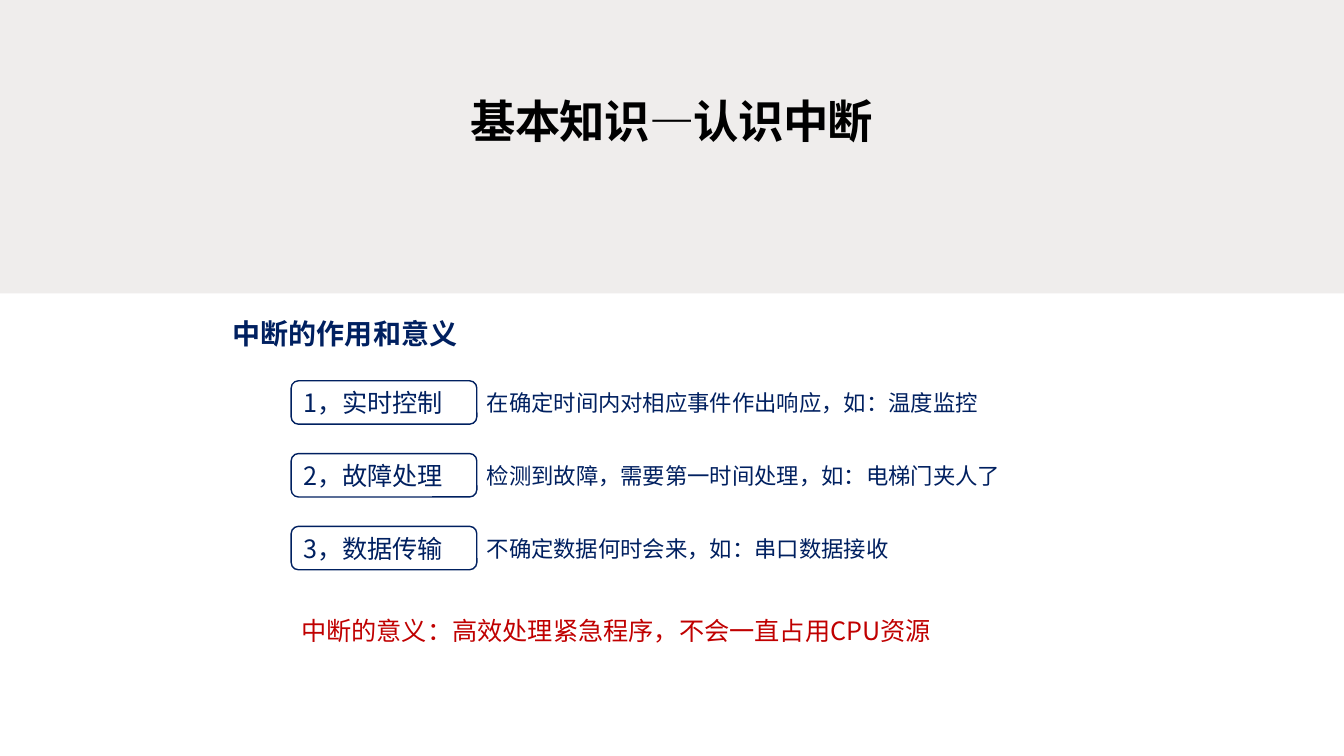
from dataclasses import dataclass

from lxml import etree
from pptx import Presentation
from pptx.dml.color import RGBColor
from pptx.enum.shapes import MSO_SHAPE
from pptx.enum.text import MSO_ANCHOR, PP_ALIGN
from pptx.oxml.ns import qn
from pptx.shapes.autoshape import Shape
from pptx.slide import Slide
from pptx.util import Pt

RECT, ROUND = MSO_SHAPE.RECTANGLE, MSO_SHAPE.ROUNDED_RECTANGLE
TOP, MIDDLE = MSO_ANCHOR.TOP, MSO_ANCHOR.MIDDLE
LEFT, CENTER = PP_ALIGN.LEFT, PP_ALIGN.CENTER


@dataclass(frozen=True)
class Theme:
    font: str = "Noto Sans CJK SC"
    band: str = "EFEDEC"
    paper: str = "FFFFFF"
    ink: str = "000000"
    navy: str = "002060"
    red: str = "C00000"
    title: float = 32.4
    head: float = 20
    label: float = 18
    note: float = 16


@dataclass(frozen=True)
class Box:
    left: float
    top: float
    width: float
    height: float

    def points(self) -> tuple[Pt, Pt, Pt, Pt]:
        return Pt(self.left), Pt(self.top), Pt(self.width), Pt(self.height)


@dataclass(frozen=True)
class Use:
    label: str
    note: str
    width: float


THEME = Theme()
USES = [
    Use("1，实时控制", "在确定时间内对相应事件作出响应，如：温度监控", 370),
    Use("2，故障处理", "检测到故障，需要第一时间处理，如：电梯门夹人了", 386),
    Use("3，数据传输", "不确定数据何时会来，如：串口数据接收", 305),
]
INDENT, FIRST, STEP = 208, 272, 52
LABEL_WIDTH, LABEL_HEIGHT = 132.6, 31


def write(shape: Shape, text: str, size: float, color: str,
          bold: bool = False, align: PP_ALIGN = LEFT,
          anchor: MSO_ANCHOR = TOP, wrap: bool = True) -> None:
    frame = shape.text_frame
    frame.text = text
    frame.word_wrap = wrap
    frame.vertical_anchor = anchor
    line = frame.paragraphs[0]
    line.alignment = align
    font = line.runs[0].font
    font.name, font.size, font.bold = THEME.font, Pt(size), bold
    font.color.rgb = RGBColor.from_string(color)
    props = line.runs[0]._r.get_or_add_rPr()
    etree.SubElement(props, qn("a:ea")).set("typeface", THEME.font)


def add_block(slide: Slide, kind: MSO_SHAPE, box: Box, fill: str) -> Shape:
    block = slide.shapes.add_shape(kind, *box.points())
    block.shadow.inherit = False
    block.fill.solid()
    block.fill.fore_color.rgb = RGBColor.from_string(fill)
    block.line.fill.background()
    return block


def add_title(slide: Slide) -> None:
    title = slide.shapes.add_textbox(*Box(48, 61.2, 864, 49.7).points())
    write(title, "基本知识—认识中断", THEME.title, THEME.ink, True, CENTER, MIDDLE)
    run = title.text_frame.paragraphs[0].runs[0]
    run._r.get_or_add_rPr().set("spc", "-50")


def add_head(slide: Slide) -> None:
    head = slide.shapes.add_textbox(*Box(162.7, 212.4, 273, 36).points())
    write(head, "中断的作用和意义", THEME.head, THEME.navy, True)
    frame = head.text_frame
    frame.margin_left = frame.margin_right = Pt(3.6)
    frame.margin_top = frame.margin_bottom = Pt(1.44)
    frame.paragraphs[0].line_spacing = 1.5


def add_use(slide: Slide, use: Use, top: float) -> None:
    box = Box(INDENT, top, LABEL_WIDTH, LABEL_HEIGHT)
    label = add_block(slide, ROUND, box, THEME.paper)
    label.line.color.rgb = RGBColor.from_string(THEME.navy)
    label.line.width = Pt(1)
    write(label, use.label, THEME.label, THEME.navy, anchor=MIDDLE)
    place = Box(INDENT + LABEL_WIDTH, top + 2.5, use.width, 26.6)
    note = slide.shapes.add_textbox(*place.points())
    write(note, use.note, THEME.note, THEME.navy, wrap=False)


def main() -> None:
    deck = Presentation()
    deck.slide_width, deck.slide_height = Pt(960), Pt(540)
    slide = deck.slides.add_slide(deck.slide_layouts[6])
    add_block(slide, RECT, Box(0, 0, 960, 209.5), THEME.band)
    add_title(slide)
    add_head(slide)
    for row, use in enumerate(USES):
        add_use(slide, use, FIRST + row * STEP)
    point = slide.shapes.add_textbox(*Box(INDENT, 435.6, 540.7, 29).points())
    write(point, "中断的意义：高效处理紧急程序，不会一直占用CPU资源",
          THEME.label, THEME.red)
    deck.save("out.pptx")


if __name__ == "__main__":
    main()
